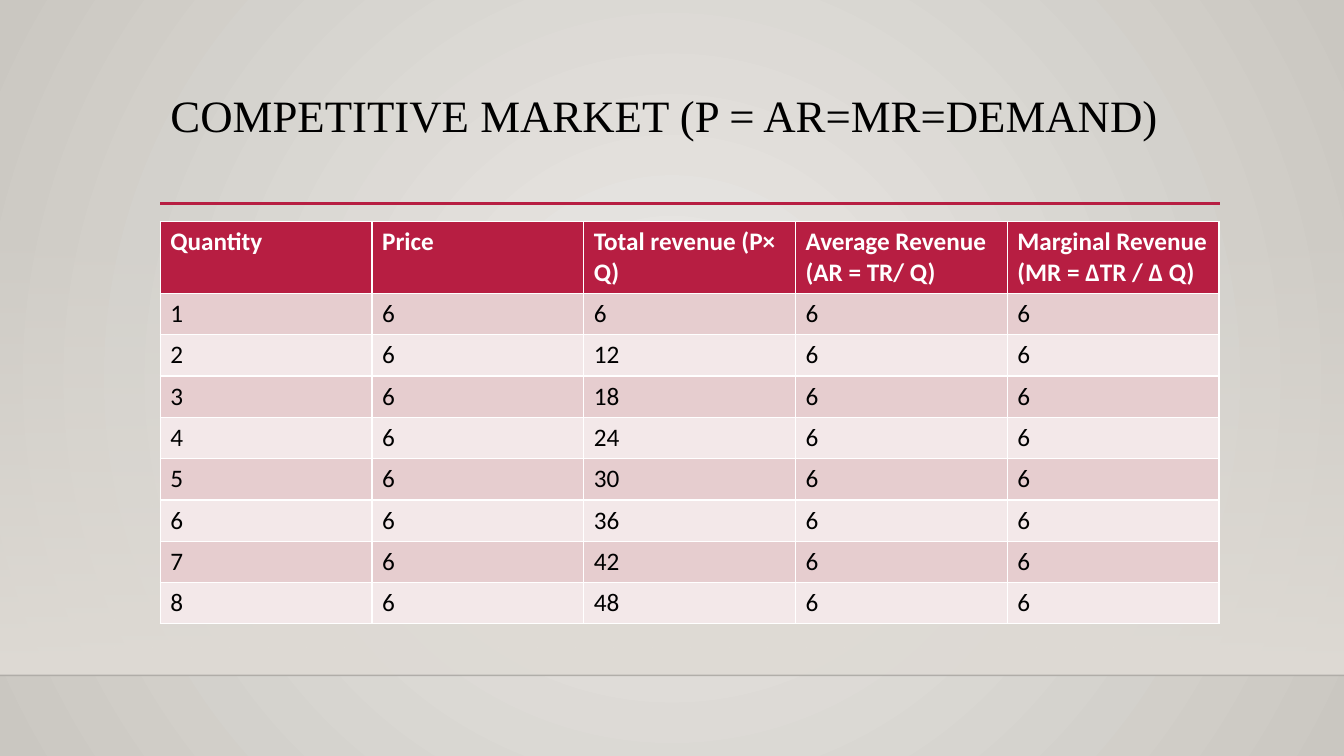
from lxml.etree import SubElement
from pptx import Presentation
from pptx.dml.color import RGBColor
from pptx.enum.shapes import MSO_CONNECTOR, MSO_SHAPE
from pptx.enum.text import MSO_ANCHOR, PP_ALIGN
from pptx.oxml.ns import qn
from pptx.util import Inches, Pt

BLACK = RGBColor(0x00, 0x00, 0x00)
WHITE = RGBColor(0xFF, 0xFF, 0xFF)
CRIMSON = RGBColor(0xB7, 0x1E, 0x42)
ROSE = RGBColor(0xE6, 0xCD, 0xCF)
PALE_ROSE = RGBColor(0xF3, 0xE8, 0xE9)
LIGHT_STONE = RGBColor(0xEC, 0xEA, 0xE7)
DARK_STONE = RGBColor(0xCA, 0xC7, 0xC1)
FLOOR = RGBColor(0xDF, 0xDB, 0xD5)

LEFT = Inches(1.59)
CONTENT_WIDTH = Inches(10.5)
FLOOR_TOP = Inches(2.21)
FLOOR_BOTTOM = Inches(6.7)
HEADER_HEIGHT = Inches(0.7)
ROW_HEIGHT = Inches(0.41)
PRICE = 6
HEADERS = [
    "Quantity",
    "Price",
    "Total revenue (P× Q)",
    "Average Revenue (AR = TR/ Q)",
    "Marginal Revenue (MR = ∆TR / ∆ Q)",
]


def set_alpha(element, percent):
    color = next(element.iter(qn("a:srgbClr")))
    SubElement(color, qn("a:alpha"), val=str(percent * 1000))


def add_rule(slide, left, right, top, color, width):
    rule = slide.shapes.add_connector(MSO_CONNECTOR.STRAIGHT, left, top, right, top)
    rule.line.color.rgb = color
    rule.line.width = Pt(width)
    SubElement(rule.element.spPr, qn("a:effectLst"))
    return rule


presentation = Presentation()
presentation.slide_width = Inches(13.33)
presentation.slide_height = Inches(7.5)
slide = presentation.slides.add_slide(presentation.slide_layouts[5])

background = slide.background.fill
background.gradient()
for stop, color in zip(background.gradient_stops, (LIGHT_STONE, DARK_STONE)):
    stop.color.rgb = color
gradient = next(slide.element.iter(qn("a:gradFill")))
gradient.remove(gradient.find(qn("a:lin")))
circle = SubElement(gradient, qn("a:path"), path="circle")
SubElement(circle, qn("a:fillToRect"), l="50000", t="50000", r="50000", b="50000")

floor = slide.shapes.add_shape(
    MSO_SHAPE.RECTANGLE, 0, FLOOR_TOP, presentation.slide_width, FLOOR_BOTTOM - FLOOR_TOP
)
floor.shadow.inherit = False
floor.line.fill.background()
floor.fill.gradient()
floor.fill.gradient_angle = 270
for stop in floor.fill.gradient_stops:
    stop.color.rgb = FLOOR
set_alpha(floor.element.spPr, 0)

floor_edge = add_rule(slide, 0, presentation.slide_width, FLOOR_BOTTOM, BLACK, 1)
set_alpha(floor_edge.element.spPr, 20)
add_rule(slide, LEFT, Inches(12.1), Inches(2.02), CRIMSON, 2.5)

title = slide.shapes.title
title.left, title.top = LEFT, Inches(0.88)
title.width, title.height = CONTENT_WIDTH, Inches(1.15)
title.text_frame.vertical_anchor = MSO_ANCHOR.TOP
title.text_frame.text = "COMPETITIVE MARKET (P = AR=MR=DEMAND)"
paragraph = title.text_frame.paragraphs[0]
paragraph.alignment = PP_ALIGN.LEFT
paragraph.line_spacing = 0.9
paragraph.font.name = "Times New Roman"
paragraph.font.size = Pt(32)
paragraph.font.color.rgb = BLACK

rows = [HEADERS] + [
    [quantity, PRICE, quantity * PRICE, PRICE, PRICE] for quantity in range(1, 9)
]
table = slide.shapes.add_table(
    len(rows), len(HEADERS), LEFT, Inches(2.2), CONTENT_WIDTH, ROW_HEIGHT * len(rows)
).table
for row_index, values in enumerate(rows):
    is_header = row_index == 0
    table.rows[row_index].height = HEADER_HEIGHT if is_header else ROW_HEIGHT
    band = ROSE if row_index % 2 else PALE_ROSE
    for column_index, value in enumerate(values):
        cell = table.cell(row_index, column_index)
        cell.fill.solid()
        cell.fill.fore_color.rgb = CRIMSON if is_header else band
        cell.text = str(value)
        font = cell.text_frame.paragraphs[0].font
        font.name = "Calibri"
        font.size = Pt(18)
        font.bold = is_header
        font.color.rgb = WHITE if is_header else BLACK

presentation.save("out.pptx")
